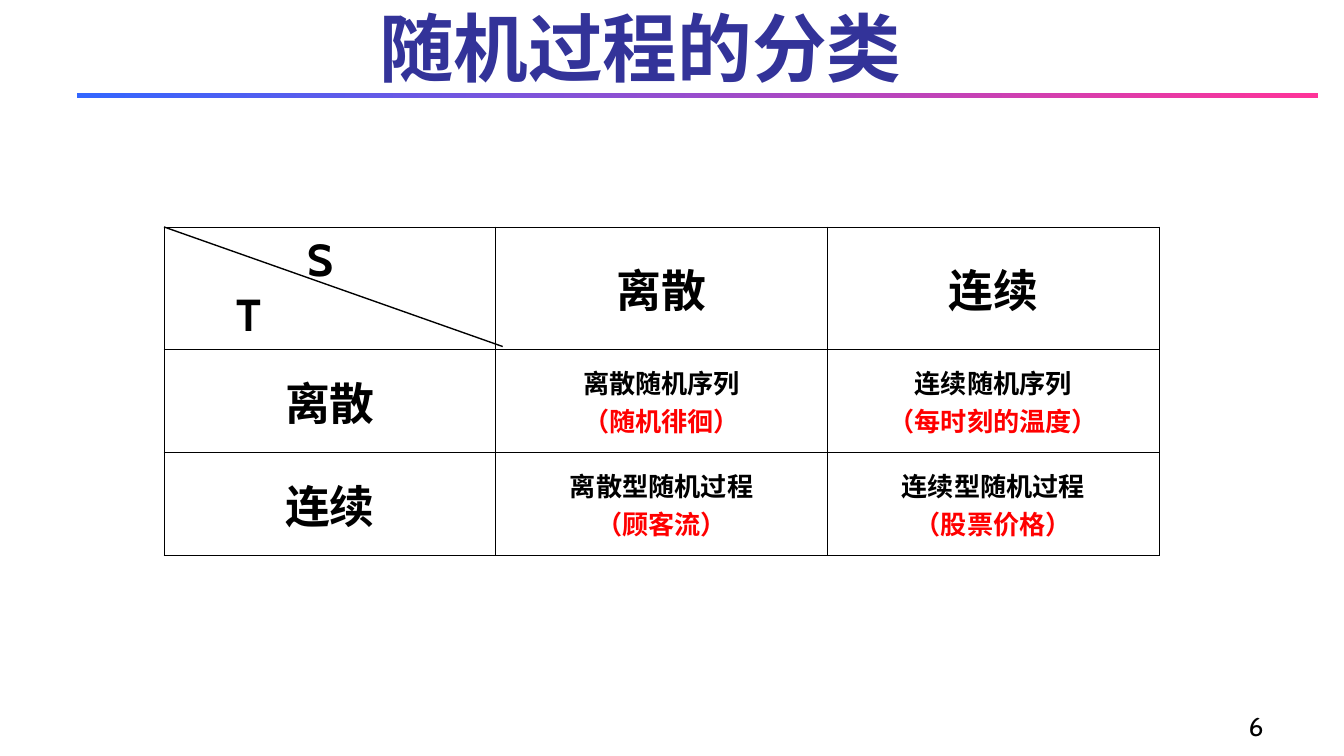
import dataclasses

import lxml.etree
import pptx
import pptx.dml.color
import pptx.enum.shapes
import pptx.enum.text
import pptx.oxml.ns
import pptx.util

Cm = pptx.util.Cm
Pt = pptx.util.Pt
Align = pptx.enum.text.PP_ALIGN
Anchor = pptx.enum.text.MSO_ANCHOR
qn = pptx.oxml.ns.qn

FONT = "Cabin"
BLACK = "000000"
RED = "FF0000"
TITLE_BLUE = "333399"
BAR_COLORS = ("3366FF", "FF3399")

TABLE_LEFT, TABLE_TOP = 3.1, 4.29
COLUMN_WIDTH = 6.27
ROW_HEIGHTS = (2.21, 1.95, 1.95)


@dataclasses.dataclass(frozen=True)
class Line:
    text: str
    size: float = 24
    color: str = BLACK
    align: Align = Align.CENTER
    indent: float = 0


@dataclasses.dataclass(frozen=True)
class CellContent:
    lines: tuple[Line, ...]
    anchor: Anchor = Anchor.MIDDLE


def heading(text: str) -> CellContent:
    return CellContent((Line(text),))


def process(name: str, example: str) -> CellContent:
    return CellContent((Line(name, size=14), Line(example, size=14, color=RED)))


CORNER = CellContent(
    (
        Line("S", align=Align.LEFT, indent=2.46),
        Line("T", align=Align.LEFT, indent=1.12),
    ),
    Anchor.TOP,
)
ROWS = (
    (CORNER, heading("离散"), heading("连续")),
    (
        heading("离散"),
        process("离散随机序列", "（随机徘徊）"),
        process("连续随机序列", "（每时刻的温度）"),
    ),
    (
        heading("连续"),
        process("离散型随机过程", "（顾客流）"),
        process("连续型随机过程", "（股票价格）"),
    ),
)


def rgb(color: str) -> pptx.dml.color.RGBColor:
    return pptx.dml.color.RGBColor.from_string(color)


def write(paragraph, text: str, *, size: float, color: str = BLACK,
          bold: bool = True, align: Align = Align.LEFT, indent: float = 0) -> None:
    paragraph.alignment = align
    if indent:
        paragraph._p.get_or_add_pPr().set("marL", str(Cm(indent)))
    run = paragraph.add_run()
    run.text = text
    run.font.name = FONT
    run.font.size = Pt(size)
    run.font.bold = bold
    run.font.color.rgb = rgb(color)


def place(shape, left: float, top: float, width: float, height: float) -> None:
    shape.left, shape.top = Cm(left), Cm(top)
    shape.width, shape.height = Cm(width), Cm(height)


def add_gradient_bar(slide) -> None:
    bar = slide.shapes.add_shape(
        pptx.enum.shapes.MSO_SHAPE.RECTANGLE, Cm(1.45), Cm(1.75), Cm(23.47), Cm(0.11)
    )
    bar.shadow.inherit = False
    bar.line.fill.background()
    bar.fill.gradient()
    bar.fill.gradient_angle = 0
    for stop, color in zip(bar.fill.gradient_stops, BAR_COLORS):
        stop.color.rgb = rgb(color)


def add_title(slide) -> None:
    title = slide.shapes.title
    place(title, 6.91, 0.1, 15.8, 1.63)
    frame = title.text_frame
    frame.auto_size = pptx.enum.text.MSO_AUTO_SIZE.NONE
    frame.vertical_anchor = Anchor.TOP
    paragraph = frame.paragraphs[0]
    write(paragraph, "随机过程的分类", size=40, color=TITLE_BLUE)
    paragraph.line_spacing = 0.9
    # The title stands in front of the bar.
    slide.shapes._spTree.append(title._element)


def set_borders(cell, color: str, width: float) -> None:
    properties = cell._tc.get_or_add_tcPr()
    for side in ("lnL", "lnR", "lnT", "lnB"):
        line = lxml.etree.SubElement(properties, qn(f"a:{side}"), w=str(Pt(width)))
        fill = lxml.etree.SubElement(line, qn("a:solidFill"))
        lxml.etree.SubElement(fill, qn("a:srgbClr"), val=color)


def fill_cell(cell, content: CellContent) -> None:
    set_borders(cell, BLACK, 0.45)
    cell.fill.background()
    cell.vertical_anchor = content.anchor
    frame = cell.text_frame
    for index, line in enumerate(content.lines):
        paragraph = frame.add_paragraph() if index else frame.paragraphs[0]
        write(paragraph, line.text, size=line.size, color=line.color,
              align=line.align, indent=line.indent)


def add_classification_table(slide) -> None:
    column_count = len(ROWS[0])
    table = slide.shapes.add_table(
        len(ROWS), column_count, Cm(TABLE_LEFT), Cm(TABLE_TOP),
        Cm(COLUMN_WIDTH * column_count), Cm(sum(ROW_HEIGHTS)),
    ).table
    table.first_row = False
    table.horz_banding = False
    for column in table.columns:
        column.width = Cm(COLUMN_WIDTH)
    for row, height, contents in zip(table.rows, ROW_HEIGHTS, ROWS):
        row.height = Cm(height)
        for cell, content in zip(row.cells, contents):
            fill_cell(cell, content)


def add_corner_diagonal(slide) -> None:
    diagonal = slide.shapes.add_connector(
        pptx.enum.shapes.MSO_CONNECTOR.STRAIGHT,
        Cm(TABLE_LEFT), Cm(TABLE_TOP), Cm(9.5), Cm(6.55),
    )
    diagonal.line.color.rgb = rgb(BLACK)
    diagonal.line.width = Pt(0.75)
    lxml.etree.SubElement(diagonal._element.spPr, qn("a:effectLst"))


def add_page_number(slide) -> None:
    box = slide.shapes.add_textbox(Cm(18.85), Cm(13.18), Cm(5.28), Cm(0.97))
    frame = box.text_frame
    frame.word_wrap = True
    frame.vertical_anchor = Anchor.BOTTOM
    write(frame.paragraphs[0], "6", size=14, bold=False, align=Align.RIGHT)


def main() -> None:
    presentation = pptx.Presentation()
    presentation.slide_width, presentation.slide_height = Cm(25.4), Cm(14.29)
    slide = presentation.slides.add_slide(presentation.slide_layouts[5])
    add_gradient_bar(slide)
    add_classification_table(slide)
    add_corner_diagonal(slide)
    add_page_number(slide)
    add_title(slide)
    presentation.save("out.pptx")


if __name__ == "__main__":
    main()
